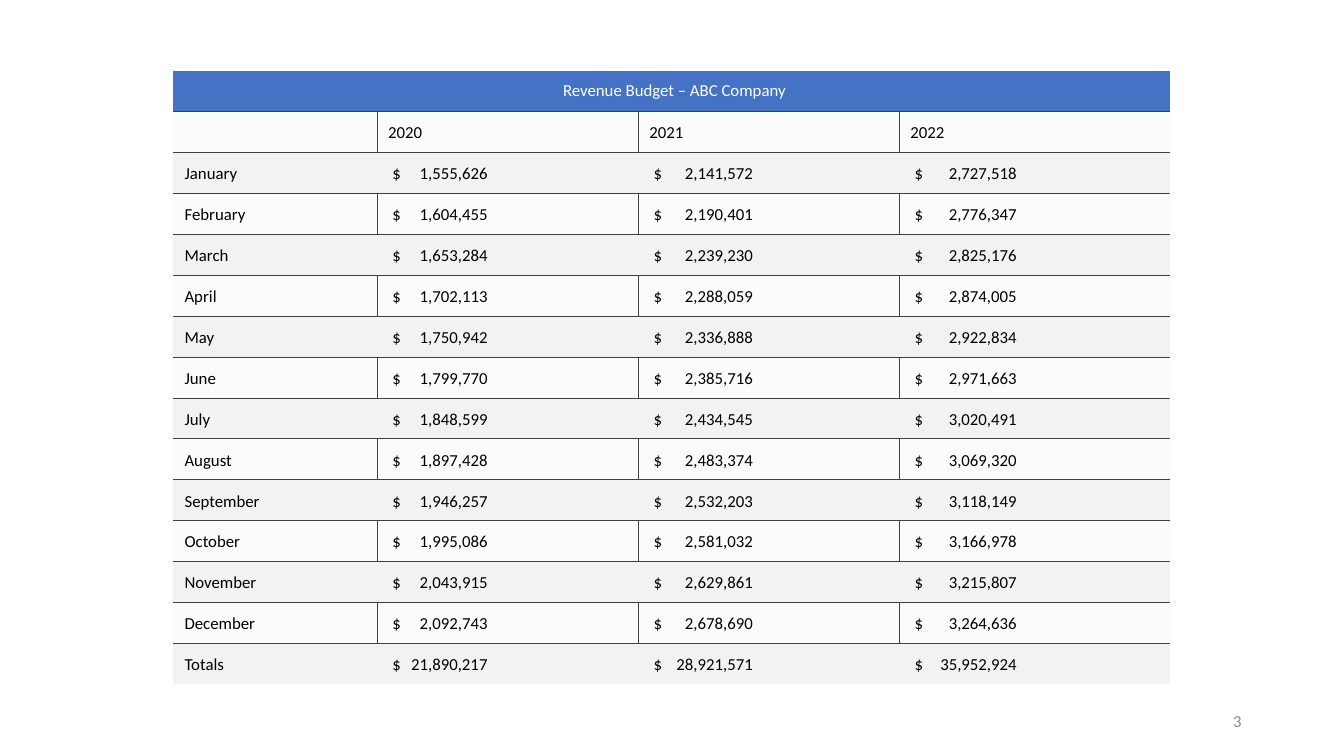
import pptx
import pptx.dml.color
import pptx.enum.text
import pptx.oxml
import pptx.oxml.ns
import pptx.util
import lxml.etree

Pt = pptx.util.Pt
RGBColor = pptx.dml.color.RGBColor
Anchor = pptx.enum.text.MSO_ANCHOR
Align = pptx.enum.text.PP_ALIGN
qn = pptx.oxml.ns.qn

HEADING = "Revenue Budget – ABC Company"
YEARS = ("2020", "2021", "2022")
REVENUE = [
    ("January", 1555626, 2141572, 2727518),
    ("February", 1604455, 2190401, 2776347),
    ("March", 1653284, 2239230, 2825176),
    ("April", 1702113, 2288059, 2874005),
    ("May", 1750942, 2336888, 2922834),
    ("June", 1799770, 2385716, 2971663),
    ("July", 1848599, 2434545, 3020491),
    ("August", 1897428, 2483374, 3069320),
    ("September", 1946257, 2532203, 3118149),
    ("October", 1995086, 2581032, 3166978),
    ("November", 2043915, 2629861, 3215807),
    ("December", 2092743, 2678690, 3264636),
    ("Totals", 21890217, 28921571, 35952924),
]
PAGE_NUMBER = "3"

FONT = "Calibri"
SIZE = 12
BLUE = RGBColor(0x44, 0x72, 0xC4)
PALE = RGBColor(0xF2, 0xF2, 0xF2)
RULE = RGBColor(0x40, 0x40, 0x40)
BLACK = RGBColor(0, 0, 0)
WHITE = RGBColor(255, 255, 255)
GREY = RGBColor(0x8C, 0x8C, 0x8C)

NO_STYLE = "{2D5ABB26-0587-4C30-8999-92F81FD0307C}"
TABLE_LEFT, TABLE_TOP = 123.84, 50.4
COLUMN_WIDTHS = (145.5, 186.5, 186.5, 193.5)
ROW_HEIGHT = 29.23
AMOUNT_STOPS = (68, 71, 73)


def write(paragraph, text, colour):
    paragraph.text = text
    paragraph.font.name = FONT
    paragraph.font.size = Pt(SIZE)
    paragraph.font.color.rgb = colour


def fill_cell(cell, colour, opacity=100):
    cell.fill.solid()
    cell.fill.fore_color.rgb = colour
    if opacity < 100:
        srgb = cell._tc.tcPr.find(".//" + qn("a:srgbClr"))
        lxml.etree.SubElement(srgb, qn("a:alpha"), val=str(opacity * 1000))


def rule_cell(cell, sides):
    for place, side in enumerate(sides):
        line = pptx.oxml.parse_xml(
            f'<a:ln{side} {pptx.oxml.ns.nsdecls("a")} w="{Pt(0.5)}">'
            f'<a:solidFill><a:srgbClr val="{RULE}"/></a:solidFill></a:ln{side}>')
        cell._tc.tcPr.insert(place, line)


def add_amount_stop(paragraph, position):
    stops = pptx.oxml.parse_xml(
        f'<a:tabLst {pptx.oxml.ns.nsdecls("a")}>'
        f'<a:tab pos="{Pt(position)}" algn="r"/></a:tabLst>')
    paragraph._p.get_or_add_pPr().insert(0, stops)


def add_budget(slide):
    rows = [(HEADING, "", "", ""), ("", *YEARS)]
    rows += [(month, *(f"$\t{amount:,}" for amount in amounts))
             for month, *amounts in REVENUE]
    frame = slide.shapes.add_table(
        len(rows), len(COLUMN_WIDTHS), Pt(TABLE_LEFT), Pt(TABLE_TOP),
        Pt(sum(COLUMN_WIDTHS)), Pt(ROW_HEIGHT * len(rows)))
    budget = frame.table
    budget.horz_banding = False
    budget._tbl.tblPr.find(qn("a:tableStyleId")).text = NO_STYLE
    for column, width in zip(budget.columns, COLUMN_WIDTHS):
        column.width = Pt(width)

    last = len(COLUMN_WIDTHS) - 1
    for r, texts in enumerate(rows):
        budget.rows[r].height = Pt(ROW_HEIGHT)
        for c, text in enumerate(texts):
            cell = budget.cell(r, c)
            is_amount = r > 1 and c > 0
            cell.margin_left = Pt(11 if is_amount else 8)
            cell.margin_right = Pt(4)
            cell.margin_top = cell.margin_bottom = Pt(6.5)
            cell.vertical_anchor = Anchor.BOTTOM if r else Anchor.MIDDLE
            paragraph = cell.text_frame.paragraphs[0]
            write(paragraph, text, BLACK if r else WHITE)
            if is_amount:
                add_amount_stop(paragraph, AMOUNT_STOPS[c - 1])
            if r == 0:
                paragraph.alignment = Align.CENTER
                fill_cell(cell, BLUE)
                rule_cell(cell, "B")
            elif r % 2:
                fill_cell(cell, PALE, 30)
                rule_cell(cell, ("L" if c else "") + ("R" if c < last else "") + "T")
            else:
                fill_cell(cell, PALE)
                if r < len(rows) - 1:
                    rule_cell(cell, "B")
    budget.cell(0, 0).merge(budget.cell(0, last))


def add_page_number(slide):
    page = slide.shapes.add_textbox(Pt(678), Pt(500.5), Pt(216), Pt(28.75)).text_frame
    page.word_wrap = True
    page.vertical_anchor = Anchor.MIDDLE
    write(page.paragraphs[0], PAGE_NUMBER, GREY)
    page.paragraphs[0].alignment = Align.RIGHT


def main():
    deck = pptx.Presentation()
    deck.slide_width, deck.slide_height = Pt(960), Pt(540)
    slide = deck.slides.add_slide(deck.slide_layouts[6])
    add_budget(slide)
    add_page_number(slide)
    deck.save("out.pptx")


if __name__ == "__main__":
    main()
